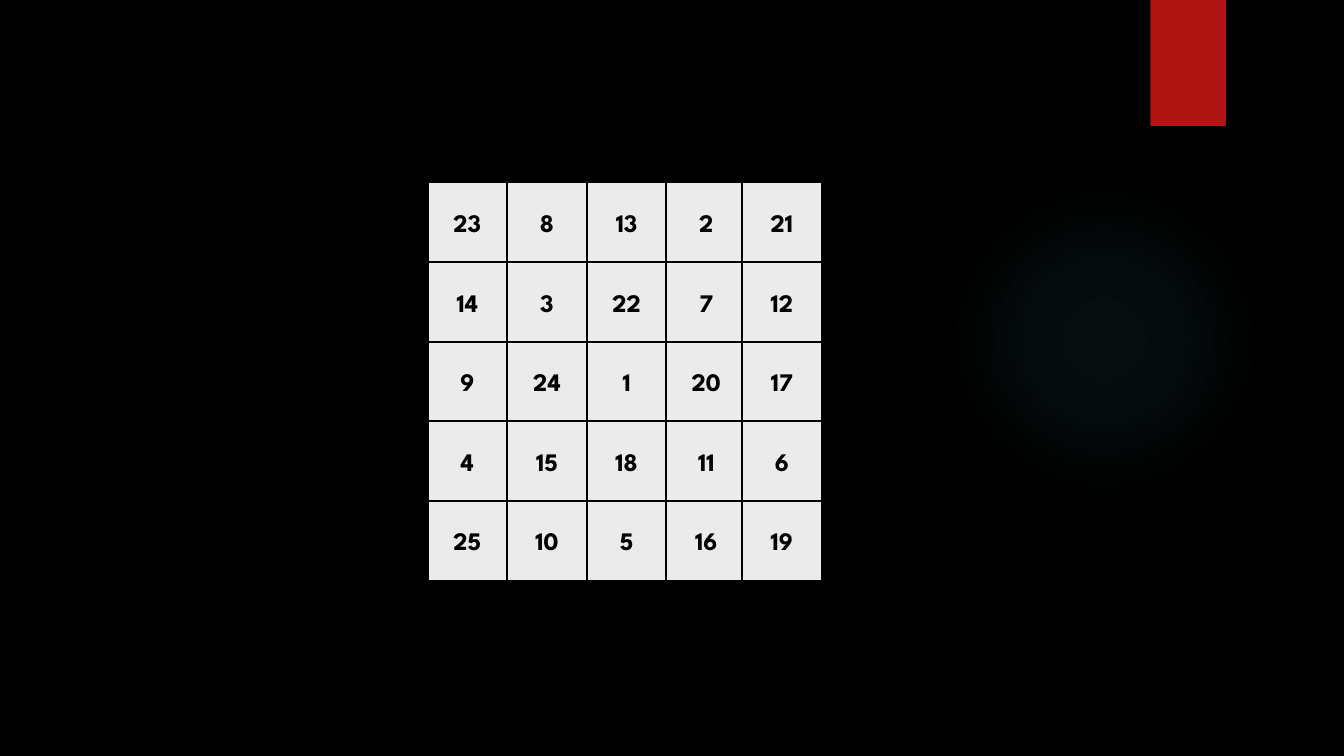
from dataclasses import dataclass

from pptx import Presentation
from pptx.dml.color import RGBColor as RGB
from pptx.enum.shapes import MSO_SHAPE as SHAPE
from pptx.enum.text import MSO_ANCHOR as ANCHOR, PP_ALIGN as ALIGN
from pptx.oxml import parse_xml
from pptx.oxml.ns import nsdecls
from pptx.util import Pt

PX = 9144


@dataclass(frozen=True)
class Theme:
    black: str = "000000"
    red: str = "B01513"
    cell: str = "EBEBEB"
    glow: str = "50B9C1"
    font: str = "League Spartan"
    number_size: int = 18
    border: float = 1.5


theme = Theme()


def add_box(kind, x, y, w, h, color=None):
    sp = s.shapes.add_shape(kind, x * PX, y * PX, w * PX, h * PX)
    sp.shadow.inherit = False
    sp.line.fill.background()
    if color:
        sp.fill.solid()
        sp.fill.fore_color.rgb = RGB.from_string(color)
    return sp


prs = Presentation()
prs.slide_width, prs.slide_height = 1333 * PX, 750 * PX
s = prs.slides.add_slide(prs.slide_layouts[6])
s.background.fill.solid()
s.background.fill.fore_color.rgb = RGB.from_string(theme.black)

glow = add_box(SHAPE.OVAL, 941, 183, 308, 308)
stops = "".join(
    f'<a:gs pos="{pos * 1000}"><a:srgbClr val="{theme.glow}">'
    f'<a:alpha val="{alpha * 1000}"/></a:srgbClr></a:gs>'
    for pos, alpha in [(0, 7), (36, 6), (69, 0)]
)
gradient = parse_xml(
    f'<a:gradFill {nsdecls("a")}><a:gsLst>{stops}</a:gsLst><a:path path="circle">'
    '<a:fillToRect l="50000" t="50000" r="50000" b="50000"/></a:path></a:gradFill>'
)
glow.element.spPr.prstGeom.addnext(gradient)

add_box(SHAPE.RECTANGLE, 1141, 0, 75, 125, theme.red)

SQUARE = [
    [23, 8, 13, 2, 21],
    [14, 3, 22, 7, 12],
    [9, 24, 1, 20, 17],
    [4, 15, 18, 11, 6],
    [25, 10, 5, 16, 19],
]
SIDE = 79
TOP = 181
COLUMNS = [424, 503, 582, 661, 736]

for row, numbers in enumerate(SQUARE):
    for x, number in zip(COLUMNS, numbers):
        sp = add_box(SHAPE.RECTANGLE, x, TOP + row * SIDE, SIDE, SIDE, theme.cell)
        sp.line.color.rgb = RGB.from_string(theme.black)
        sp.line.width = Pt(theme.border)
        tf = sp.text_frame
        tf.text = str(number)
        tf.vertical_anchor = ANCHOR.MIDDLE
        p = tf.paragraphs[0]
        p.alignment = ALIGN.CENTER
        font = p.runs[0].font
        font.name = theme.font
        font.size = Pt(theme.number_size)
        font.bold = True
        font.color.rgb = RGB.from_string(theme.black)

prs.save("out.pptx")
